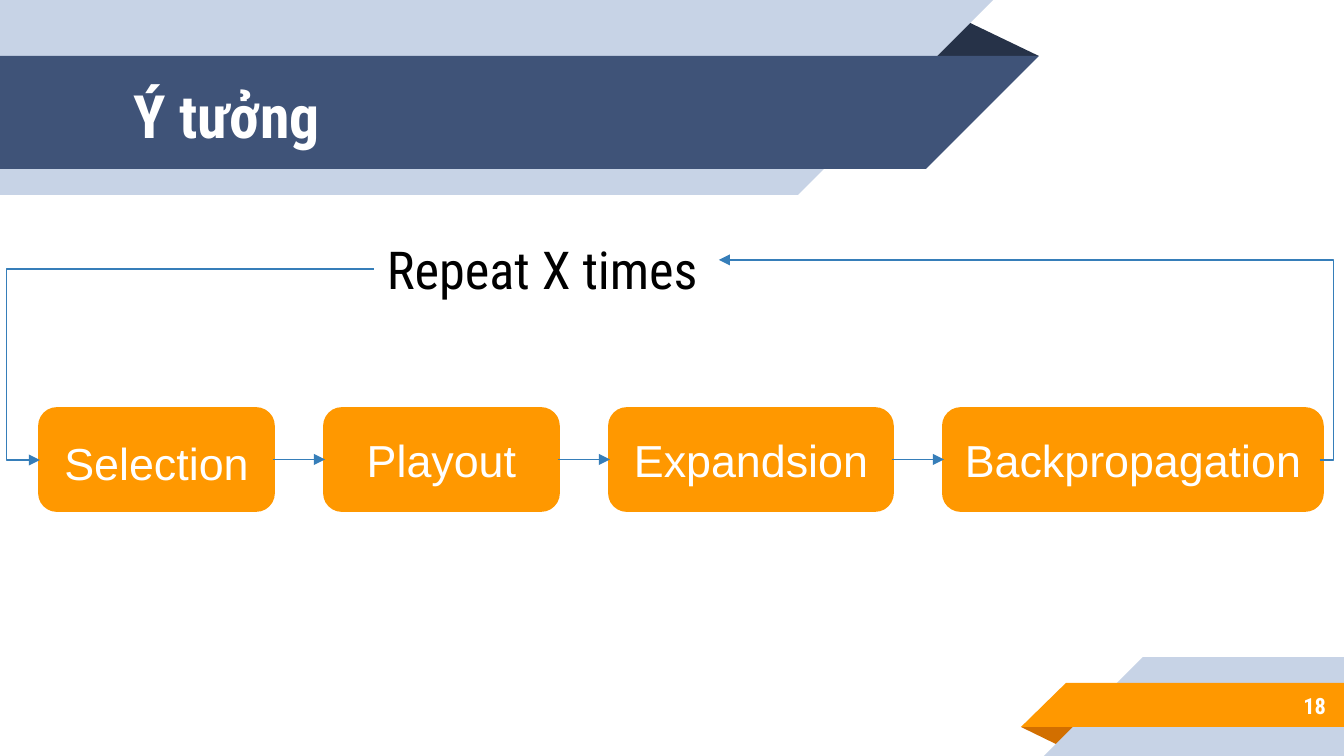
from lxml.etree import SubElement
from pptx import Presentation
from pptx.dml.color import RGBColor
from pptx.enum.shapes import MSO_CONNECTOR, MSO_SHAPE
from pptx.enum.text import MSO_ANCHOR, MSO_AUTO_SIZE, PP_ALIGN
from pptx.oxml.ns import qn
from pptx.util import Pt

PX = 914400 / 134.4
WHITE = RGBColor(0xFF, 0xFF, 0xFF)
BLACK = RGBColor(0x00, 0x00, 0x00)
PALE = RGBColor(0xC7, 0xD3, 0xE6)
NAVY = RGBColor(0x3F, 0x53, 0x78)
DARK_NAVY = RGBColor(0x26, 0x32, 0x48)
ORANGE = RGBColor(0xFF, 0x98, 0x00)
DARK_ORANGE = RGBColor(0xD2, 0x6F, 0x00)
BLUE = RGBColor(0x36, 0x7E, 0xB9)
HEADING = "Roboto Condensed"


def emu(*lengths):
    return [round(v * PX) for v in lengths]


def write(sp, text, size=24, font="Arial", color=WHITE, bold=False,
          align=PP_ALIGN.LEFT, anchor=MSO_ANCHOR.MIDDLE, inset=13, wrap=True):
    tf = sp.text_frame
    tf.word_wrap = wrap
    tf.auto_size = MSO_AUTO_SIZE.NONE
    tf.vertical_anchor = anchor
    tf.margin_left, tf.margin_right = emu(inset, inset)
    p = tf.paragraphs[0]
    p.alignment = align
    r = p.add_run()
    r.text = text
    r.font.size = Pt(size)
    r.font.name = font
    r.font.bold = bold
    r.font.color.rgb = color


prs = Presentation()
prs.slide_width, prs.slide_height = emu(1344, 756)
s = prs.slides.add_slide(prs.slide_layouts[5])

bands = [
    (DARK_NAVY, [(962, 19), (1039, 56), (925, 56)]),
    (PALE, [(0, 0), (993, 0), (798, 195), (0, 195)]),
    (NAVY, [(0, 56), (1039, 56), (926, 169), (0, 169)]),
    (DARK_ORANGE, [(1021, 727), (1079, 727), (1060, 746)]),
    (PALE, [(1143, 657), (1344, 657), (1344, 756), (1044, 756)]),
    (ORANGE, [(1066, 683), (1344, 683), (1344, 727), (1021, 727)]),
]
for color, points in bands:
    builder = s.shapes.build_freeform(*points[0], scale=PX)
    builder.add_line_segments(points[1:], close=True)
    sp = builder.convert_to_shape()
    sp.shadow.inherit = False
    sp.fill.solid()
    sp.fill.fore_color.rgb = color
    sp.line.fill.background()

title = s.shapes.title
title.left, title.top, title.width, title.height = emu(120, 58, 808, 113)
write(title, "Ý tưởng", size=32, font=HEADING, bold=True)
title.element.getparent().append(title.element)

number = s.shapes.add_textbox(*emu(1120, 682, 219, 47))
write(number, "18", size=12, font=HEADING, bold=True, align=PP_ALIGN.RIGHT)

steps = []
x = 40
for text, width in [("Selection", 233), ("Playout", 233),
                    ("Expandsion", 282), ("Backpropagation", 378)]:
    sp = s.shapes.add_shape(MSO_SHAPE.ROUNDED_RECTANGLE, *emu(x, 409, width, 101))
    sp.shadow.inherit = False
    sp.fill.solid()
    sp.fill.fore_color.rgb = ORANGE
    sp.line.color.rgb = ORANGE
    sp.line.width = Pt(2)
    write(sp, text, align=PP_ALIGN.CENTER)
    steps.append(sp)
    x += width + 52
write(steps[0], " ", size=28, align=PP_ALIGN.CENTER)

repeat = s.shapes.add_textbox(*emu(374, 231, 421, 77))
write(repeat, "Repeat X times", size=28, font=HEADING, color=BLACK,
      anchor=MSO_ANCHOR.TOP)

arrows = []
for before, after in zip(steps, steps[1:]):
    arrow = s.shapes.add_connector(MSO_CONNECTOR.STRAIGHT, 0, 0, 0, 0)
    arrow.begin_connect(before, 3)
    arrow.end_connect(after, 1)
    arrows.append(arrow)

for ends, bend in [((1320, 460, 719, 260), -2300), ((374, 269, 40, 460), 110100)]:
    arrow = s.shapes.add_connector(MSO_CONNECTOR.ELBOW, *emu(*ends))
    guides = arrow.element.spPr.find(qn("a:prstGeom")).find(qn("a:avLst"))
    SubElement(guides, qn("a:gd"), name="adj1", fmla=f"val {bend}")
    arrows.append(arrow)

for arrow in arrows:
    arrow.line.color.rgb = BLUE
    arrow.line.width = Pt(0.75)
    SubElement(arrow.line._get_or_add_ln(), qn("a:tailEnd"), type="triangle")
    SubElement(arrow.element.spPr, qn("a:effectLst"))

prs.save("out.pptx")
